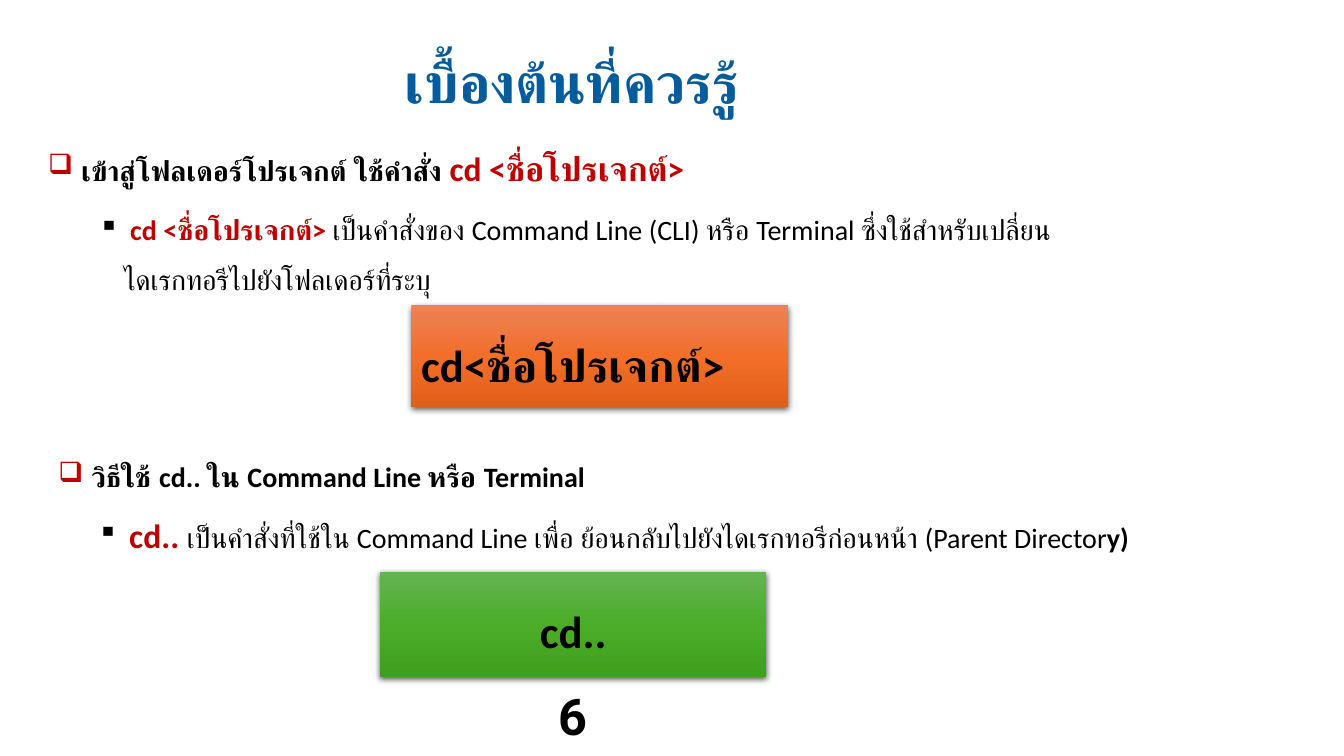
from dataclasses import dataclass

from lxml import etree
from pptx import Presentation
from pptx import util as u
from pptx.dml.color import RGBColor
from pptx.enum import shapes, text
from pptx.oxml import parse_xml
from pptx.oxml.ns import nsdecls, qn

PX = 9144  # EMU per px, 100 px to the inch


@dataclass(frozen=True)
class Theme:
    black: str = "000000"
    blue: str = "055C9D"
    red: str = "C00000"
    orange: tuple[str, ...] = ("ED8257", "F26E29", "E25F1A")
    green: tuple[str, ...] = ("66B354", "4BAD28", "409F1E")
    face: str = "Calibri"
    digit: str = "Roboto"
    title: int = 40
    page: int = 36
    code: int = 32
    key: int = 24
    body: int = 20


T = Theme()


@dataclass(frozen=True)
class Box:
    x: int
    y: int
    w: int
    h: int

    def emu(self) -> list[int]:
        return [n * PX for n in (self.x, self.y, self.w, self.h)]


@dataclass(frozen=True)
class Span:
    words: str
    size: int = T.body
    color: str = T.black
    bold: bool = True
    face: str = T.face


@dataclass(frozen=True)
class Para:
    spans: tuple[Span, ...]
    mark: str = ""
    left: int = 0
    level: int = 0
    before: int = 0
    lines: float = 1.0
    center: bool = False


@dataclass(frozen=True)
class Label:
    box: Box
    paras: tuple[Para, ...]
    middle: bool = False
    grow: bool = False


@dataclass(frozen=True)
class Panel:
    box: Box
    stops: tuple[str, ...]
    para: Para


def item(mark: str, *spans: Span, left: int = 25, level: int = 0,
         before: int = 10) -> Para:
    return Para(spans, mark, left, level, before, 1.5)


def head(*spans: Span) -> Para:
    return item("❑", Span(" ", color=T.red), *spans)


def code(words: str, center: bool = False) -> Para:
    return Para((Span(words, T.code),), before=10, lines=1.5, center=center)


def write(frame, paras: tuple[Para, ...]) -> None:
    frame.word_wrap = True
    for i, para in enumerate(paras):
        p = frame.add_paragraph() if i else frame.paragraphs[0]
        p.alignment = text.PP_ALIGN.CENTER if para.center else text.PP_ALIGN.LEFT
        p.level = para.level
        p.line_spacing = para.lines
        p.space_before = u.Pt(para.before)
        if para.mark:
            props = p._p.get_or_add_pPr()
            props.set("marL", str(para.left * PX))
            props.set("indent", str(-25 * PX))
            etree.SubElement(props, qn("a:buChar"), char=para.mark)
        for span in para.spans:
            run = p.add_run()
            run.text = span.words
            run.font.name = span.face
            run.font.size = u.Pt(span.size)
            run.font.bold = span.bold
            run.font.color.rgb = RGBColor.from_string(span.color)


def draw_label(slide, label: Label) -> None:
    frame = slide.shapes.add_textbox(*label.box.emu()).text_frame
    write(frame, label.paras)
    if label.middle:
        frame.vertical_anchor = text.MSO_ANCHOR.MIDDLE
    if label.grow:
        frame.auto_size = text.MSO_AUTO_SIZE.SHAPE_TO_FIT_TEXT


def draw_panel(slide, panel: Panel) -> None:
    shape = slide.shapes.add_shape(shapes.MSO_SHAPE.RECTANGLE, *panel.box.emu())
    shape.line.fill.background()
    stops = "".join(
        f'<a:gs pos="{i * 50000}"><a:srgbClr val="{c}"/></a:gs>'
        for i, c in enumerate(panel.stops))
    props = shape._element.spPr
    props.find(qn("a:prstGeom")).addnext(parse_xml(
        f'<a:gradFill {nsdecls("a")} rotWithShape="1"><a:gsLst>{stops}</a:gsLst>'
        '<a:lin ang="5400000" scaled="0"/></a:gradFill>'))
    props.append(parse_xml(
        f'<a:effectLst {nsdecls("a")}><a:outerShdw blurRad="57150" dist="19050" '
        f'dir="5400000" algn="ctr" rotWithShape="0"><a:srgbClr val="{T.black}">'
        '<a:alpha val="63000"/></a:srgbClr></a:outerShdw></a:effectLst>'))
    shape.text_frame.vertical_anchor = text.MSO_ANCHOR.TOP
    write(shape.text_frame, (panel.para,))


# Page number and title
PAGE = Label(Box(418, 690, 300, 40),
             (Para((Span("6", T.page, face=T.digit),), center=True),), middle=True)
TITLE = Label(Box(76, 42, 983, 145),
              (Para((Span("เบื้องต้นที่ควรรู้", T.title, T.blue),), center=True),),
              grow=True)

# Entering the project folder
ENTER = Label(Box(38, 122, 1040, 111), (
    head(Span("เข้าสู่โฟลเดอร์โปรเจกต์ ใช้คำสั่ง "),
         Span("cd <ชื่อโปรเจกต์>", T.key, T.red)),
    item("▪", Span(" ", bold=False), Span("cd <ชื่อโปรเจกต์> ", color=T.red),
         Span("เป็นคำสั่งของ Command Line (CLI) หรือ Terminal "
              "ซึ่งใช้สำหรับเปลี่ยนไดเรกทอรีไปยังโฟลเดอร์ที่ระบุ", bold=False),
         left=75, level=1, before=5)))
ENTER_CODE = Panel(Box(408, 303, 374, 101), T.orange, code("cd<ชื่อโปรเจกต์>"))

# Going back to the parent folder
BACK = Label(Box(48, 434, 1040, 111),
             (head(Span("วิธีใช้ cd.. ใน Command Line หรือ Terminal")),))
BACK_NOTE = Label(Box(87, 486, 1231, 77), (
    item("▪", Span(" "), Span("cd.. ", T.key, T.red),
         Span("เป็นคำสั่งที่ใช้ใน Command Line เพื่อ "
              "ย้อนกลับไปยังไดเรกทอรีก่อนหน้า (Parent Director", bold=False),
         Span("y)")),))
BACK_CODE = Panel(Box(377, 567, 383, 105), T.green, code("cd..", center=True))


def main() -> None:
    deck = Presentation()
    deck.slide_width, deck.slide_height = 1333 * PX, 750 * PX
    slide = deck.slides.add_slide(deck.slide_layouts[6])
    for part in (PAGE, TITLE, ENTER, ENTER_CODE, BACK_NOTE, BACK_CODE, BACK):
        if isinstance(part, Panel):
            draw_panel(slide, part)
        else:
            draw_label(slide, part)
    deck.save("out.pptx")


if __name__ == "__main__":
    main()
